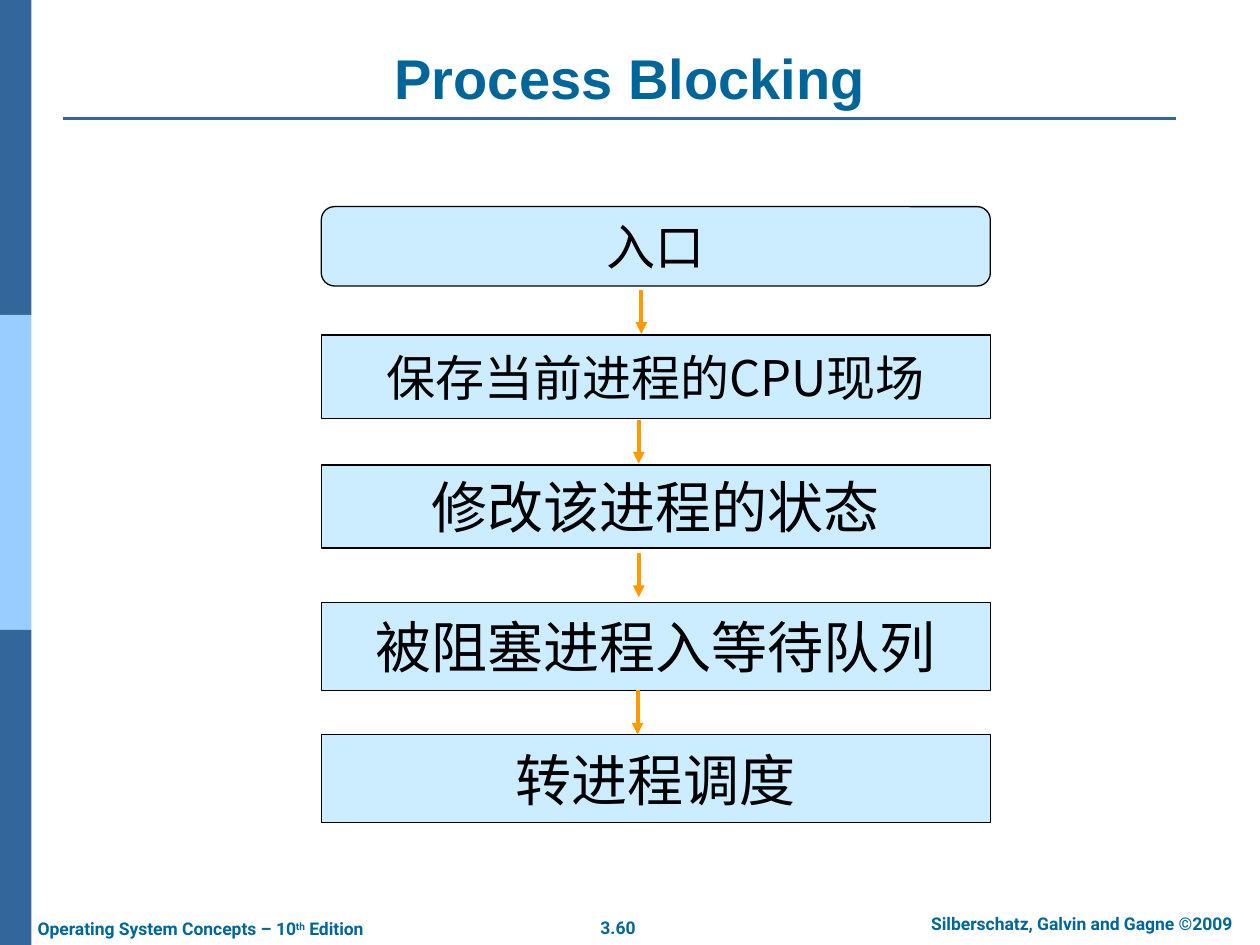
from lxml.etree import SubElement
from pptx import Presentation
from pptx.dml.color import RGBColor
from pptx.enum.shapes import MSO_CONNECTOR as Connector, MSO_SHAPE as Shape
from pptx.enum.text import MSO_ANCHOR as Anchor, PP_ALIGN as Align
from pptx.oxml.ns import qn
from pptx.util import Inches, Pt

WIDTH, HEIGHT = 10, 7.5
BLUE, TEAL, BLACK = "336699", "006699", "000000"
SIDEBAR = [BLUE, "99CCFF", BLUE]
SIDEBAR_WIDTH = WIDTH / 40
TITLE = "Process Blocking"
FOOTERS = [
    ([("3.60", 0)], (4.66, 7.23, 0.49, 0.27), Align.CENTER, False),
    ([("Silberschatz, Galvin and Gagne ©2009", 0)], (7.1, 7.2, 2.97, 0.27), Align.CENTER, True),
    ([("Operating System Concepts – 10", 0), ("th", 30), (" Edition", 0)],
     (0.2, 7.24, 3.06, 0.27), Align.LEFT, False),
]
STEP_LEFT, STEP_WIDTH = 2.55, 5.31
STEPS = [
    ("入口", Shape.FLOWCHART_ALTERNATE_PROCESS, 1.64, 0.63, 28),
    ("保存当前进程的CPU现场", Shape.FLOWCHART_PROCESS, 2.66, 0.66, 28),
    ("修改该进程的状态", Shape.FLOWCHART_PROCESS, 3.69, 0.66, 32),
    ("被阻塞进程入等待队列", Shape.FLOWCHART_PROCESS, 4.78, 0.7, 32),
    ("转进程调度", Shape.FLOWCHART_PROCESS, 5.83, 0.7, 32),
]
ARROW_LENGTH = 0.35
ARROWS = [(5.09, 2.3), (5.07, 3.33), (5.07, 4.39), (5.06, 5.48)]


def color(value):
    return RGBColor.from_string(value)


def write(shape, runs, size, font, fill, bold=False, align=Align.CENTER,
          anchor=Anchor.TOP, wrap=False):
    frame = shape.text_frame
    frame.word_wrap = wrap
    frame.vertical_anchor = anchor
    paragraph = frame.paragraphs[0]
    paragraph.alignment = align
    for text, baseline in runs:
        run = paragraph.add_run()
        run.text = text
        run.font.size = Pt(size)
        run.font.bold = bold
        run.font.color.rgb = color(fill)
        run.font.name = font
        properties = run.font._element
        SubElement(properties, qn("a:ea")).set("typeface", font)
        if baseline:
            properties.set("baseline", str(baseline * 1000))


def add_box(slide, kind, place, fill, line=None):
    shape = slide.shapes.add_shape(kind, *map(Inches, place))
    shape.shadow.inherit = False
    shape.fill.solid()
    shape.fill.fore_color.rgb = color(fill)
    if line:
        shape.line.color.rgb = color(line)
        shape.line.width = Pt(0.75)
    else:
        shape.line.fill.background()
    return shape


def add_line(slide, start, end, fill, width, arrow=False):
    connector = slide.shapes.add_connector(Connector.STRAIGHT, *map(Inches, start + end))
    connector.line.color.rgb = color(fill)
    connector.line.width = Pt(width)
    if arrow:
        SubElement(connector.line._get_or_add_ln(), qn("a:tailEnd")).set("type", "triangle")
    SubElement(connector._element.spPr, qn("a:effectLst"))


def add_text(slide, place, runs, size, font, **style):
    box = slide.shapes.add_textbox(*map(Inches, place))
    write(box, runs, size, font, TEAL, bold=True, **style)


def main():
    presentation = Presentation()
    presentation.slide_width, presentation.slide_height = Inches(WIDTH), Inches(HEIGHT)
    slide = presentation.slides.add_slide(presentation.slide_layouts[6])

    band = HEIGHT / len(SIDEBAR)
    for row, fill in enumerate(SIDEBAR):
        add_box(slide, Shape.RECTANGLE, (0, row * band, SIDEBAR_WIDTH, band), fill)
    add_line(slide, (0.5, 0.94), (9.33, 0.94), BLUE, 1.5)

    for runs, place, align, wrap in FOOTERS:
        add_text(slide, place, runs, 10, "Roboto", align=align, wrap=wrap)
    add_text(slide, (0.5, 0.3, 9, 0.63), [(TITLE, 0)], 32, "Arial",
             anchor=Anchor.BOTTOM, wrap=True)

    for text, kind, top, height, size in STEPS:
        step = add_box(slide, kind, (STEP_LEFT, top, STEP_WIDTH, height), "CCECFF", BLACK)
        write(step, [(text, 0)], size, "Noto Sans CJK SC", BLACK, anchor=Anchor.MIDDLE)
    for x, top in ARROWS:
        add_line(slide, (x, top), (x, top + ARROW_LENGTH), "FF9900", 2.25, arrow=True)

    presentation.save("out.pptx")


if __name__ == "__main__":
    main()
